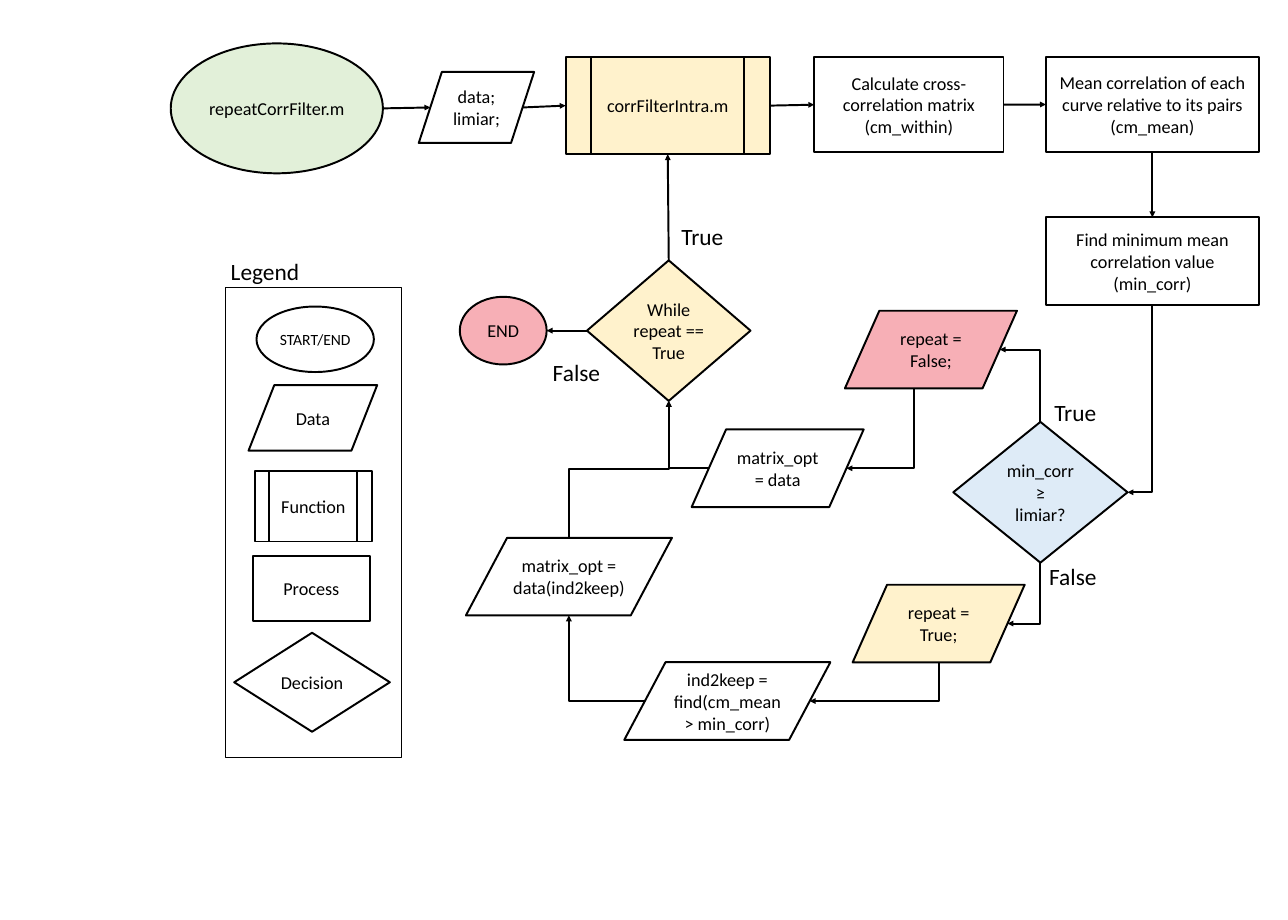
from lxml import etree
from pptx import Presentation
from pptx.dml.color import RGBColor
from pptx.enum.shapes import MSO_CONNECTOR, MSO_SHAPE as Preset
from pptx.enum.text import MSO_ANCHOR, PP_ALIGN
from pptx.oxml.ns import qn
from pptx.util import Cm, Pt

COLORS = {
    "ink": "000000",
    "green": "E2F0D9",
    "yellow": "FFF2CC",
    "blue": "DEEBF7",
    "red": "F7AFB6",
}
PROCESS = Preset.FLOWCHART_PROCESS
FUNCTION = Preset.FLOWCHART_PREDEFINED_PROCESS
DECISION = Preset.FLOWCHART_DECISION
DATA = Preset.FLOWCHART_DATA
TERMINAL = Preset.FLOWCHART_CONNECTOR

# Attachment points as fractions of a shape's width and height
TOP, LEFT, BOTTOM, RIGHT = (0.5, 0), (0, 0.5), (0.5, 1), (1, 0.5)
SIDES = [TOP, LEFT, BOTTOM, RIGHT]
SLANT_LEFT, SLANT_RIGHT, SLANT_BOTTOM = (0.1, 0.5), (0.9, 0.5), (0.4, 1)

presentation = Presentation()
presentation.slide_width, presentation.slide_height = Cm(70), Cm(50)
slide = presentation.slides.add_slide(presentation.slide_layouts[6])


def write(shape, lines, size, align):
    frame = shape.text_frame
    frame.word_wrap = True
    frame.text = "\n".join(lines)
    for paragraph in frame.paragraphs:
        paragraph.alignment = align
        paragraph.font.name = "Calibri"
        paragraph.font.size = Pt(size)
        paragraph.font.color.rgb = RGBColor.from_string(COLORS["ink"])


def spot(shape, place):
    return (shape.left + int(shape.width * place[0]),
            shape.top + int(shape.height * place[1]))


# Flowchart and legend shapes: key, preset, box in cm, fill, lines, size, line width
nodes = [
    ("legend frame", Preset.RECTANGLE, (12.24, 15.64, 9.55, 25.5), None,
     [], 28, 1),
    ("cross", PROCESS, (44.25, 3.1, 10.29, 5.18), None,
     ["Calculate cross-correlation matrix", "(cm_within)"], 28, 3),
    ("mean", PROCESS, (56.84, 3.1, 11.58, 5.16), None,
     ["Mean correlation of each curve relative to its pairs", "(cm_mean)"], 28, 3),
    ("minimum", PROCESS, (56.84, 11.81, 11.58, 4.78), None,
     ["Find minimum mean correlation value", "(min_corr)"], 28, 3),
    ("threshold", DECISION, (51.81, 22.93, 9.47, 7.65), "blue",
     ["min_corr", "≥", "limiar?"], 28, 3),
    ("keep all", DATA, (37.59, 23.34, 9.35, 4.22), None,
     ["matrix_opt = data"], 28, 3),
    ("keep some", DATA, (25.32, 29.23, 11.2, 4.22), None,
     ["matrix_opt = data(ind2keep)"], 28, 3),
    ("indices", DATA, (33.93, 35.99, 11.2, 4.22), None,
     ["ind2keep =", "find(cm_mean > min_corr)"], 28, 3),
    ("start", TERMINAL, (9.28, 2.36, 11.53, 7.06), "green",
     ["repeatCorrFilter.m"], 28, 3),
    ("input", DATA, (22.76, 3.91, 6.27, 3.86), None,
     ["data;", "limiar;"], 28, 3),
    ("filter", FUNCTION, (30.74, 3.1, 11.1, 5.28), "yellow",
     ["corrFilterIntra.m"], 28, 3),
    ("while", DECISION, (31.9, 14.15, 8.89, 7.64), "yellow",
     ["While repeat == True"], 28, 3),
    ("end", TERMINAL, (24.99, 16.13, 4.72, 3.68), "red", ["END"], 28, 3),
    ("stop", DATA, (45.92, 16.89, 9.35, 4.22), "red",
     ["repeat = False;"], 28, 3),
    ("again", DATA, (46.34, 31.78, 9.35, 4.22), "yellow",
     ["repeat = True;"], 28, 3),
    ("legend terminal", TERMINAL, (13.94, 16.66, 6.38, 3.56), None,
     ["START/END"], 24, 3),
    ("legend data", DATA, (13.51, 20.93, 6.99, 3.56), None, ["Data"], 28, 3),
    ("legend function", FUNCTION, (13.84, 25.62, 6.38, 3.81), None,
     ["Function"], 28, 3),
    ("legend process", PROCESS, (13.73, 30.2, 6.38, 3.57), None,
     ["Process"], 28, 3),
    ("legend decision", DECISION, (12.73, 34.39, 8.46, 5.38), None,
     ["Decision"], 28, 3),
]
shapes = {}
for key, preset, box, fill, lines, size, line_width in nodes:
    shape = slide.shapes.add_shape(preset, *map(Cm, box))
    shape.shadow.inherit = False
    if fill:
        shape.fill.solid()
        shape.fill.fore_color.rgb = RGBColor.from_string(COLORS[fill])
    else:
        shape.fill.background()
    shape.line.color.rgb = RGBColor.from_string(COLORS["ink"])
    shape.line.width = Pt(line_width)
    if lines:
        shape.text_frame.vertical_anchor = MSO_ANCHOR.MIDDLE
        write(shape, lines, size, PP_ALIGN.CENTER)
    shapes[key] = shape

# Branch labels and legend title
for text, left, top, width in [
    ("False", 56.77, 30.45, 4.57),
    ("True", 57.05, 21.51, 5.05),
    ("True", 36.78, 11.96, 5.05),
    ("False", 29.79, 19.33, 4.57),
    ("Legend", 12.29, 13.87, 5.05),
]:
    label = slide.shapes.add_textbox(Cm(left), Cm(top), Cm(width), Cm(1.8))
    write(label, [text], 36, PP_ALIGN.LEFT)

# Straight arrows, joined where they meet a side's middle
arrows = []
for source, leave, target, enter in [
    ("start", RIGHT, "input", SLANT_LEFT),
    ("input", SLANT_RIGHT, "filter", LEFT),
    ("filter", RIGHT, "cross", LEFT),
    ("cross", RIGHT, "mean", LEFT),
    ("mean", BOTTOM, "minimum", TOP),
    ("while", TOP, "filter", BOTTOM),
    ("while", LEFT, "end", RIGHT),
]:
    arrow = slide.shapes.add_connector(
        MSO_CONNECTOR.STRAIGHT,
        *spot(shapes[source], leave), *spot(shapes[target], enter))
    joinable = (PROCESS, FUNCTION, DECISION)
    if shapes[source].auto_shape_type in joinable:
        arrow.begin_connect(shapes[source], SIDES.index(leave))
    if shapes[target].auto_shape_type in joinable:
        arrow.end_connect(shapes[target], SIDES.index(enter))
    arrows.append(arrow)

# Bent arrows: those leaving a top or bottom are turned by a quarter
for source, leave, target, enter, preset in [
    ("threshold", TOP, "stop", SLANT_RIGHT, "bentConnector2"),
    ("minimum", BOTTOM, "threshold", RIGHT, "bentConnector2"),
    ("threshold", BOTTOM, "again", SLANT_RIGHT, "bentConnector2"),
    ("again", BOTTOM, "indices", SLANT_RIGHT, "bentConnector2"),
    ("stop", SLANT_BOTTOM, "keep all", SLANT_RIGHT, "bentConnector2"),
    ("indices", SLANT_LEFT, "keep some", BOTTOM, "bentConnector2"),
    ("keep some", TOP, "while", BOTTOM, "bentConnector3"),
    ("keep all", SLANT_LEFT, "while", BOTTOM, "bentConnector2"),
]:
    x1, y1 = spot(shapes[source], leave)
    x2, y2 = spot(shapes[target], enter)
    vertical_first = leave[1] in (0, 1)
    down, right = y2 > y1, x2 > x1
    if vertical_first:
        center_x, center_y = (x1 + x2) // 2, (y1 + y2) // 2
        half_width, half_height = abs(y2 - y1) // 2, abs(x2 - x1) // 2
        if down == right:
            half_height = -half_height
        x1, x2 = center_x - half_width, center_x + half_width
        y1, y2 = center_y - half_height, center_y + half_height
    arrow = slide.shapes.add_connector(MSO_CONNECTOR.ELBOW, x1, y1, x2, y2)
    properties = arrow.element.spPr
    properties.find(qn("a:prstGeom")).set("prst", preset)
    if vertical_first:
        turn = 90 if down else 270
        properties.find(qn("a:xfrm")).set("rot", str(turn * 60000))
    arrows.append(arrow)

# Arrow line style
for arrow in arrows:
    arrow.line.color.rgb = RGBColor.from_string(COLORS["ink"])
    arrow.line.width = Pt(3)
    properties = arrow.element.spPr
    etree.SubElement(properties.find(qn("a:ln")), qn("a:tailEnd"), type="triangle")
    etree.SubElement(properties, qn("a:effectLst"))

presentation.save("out.pptx")
